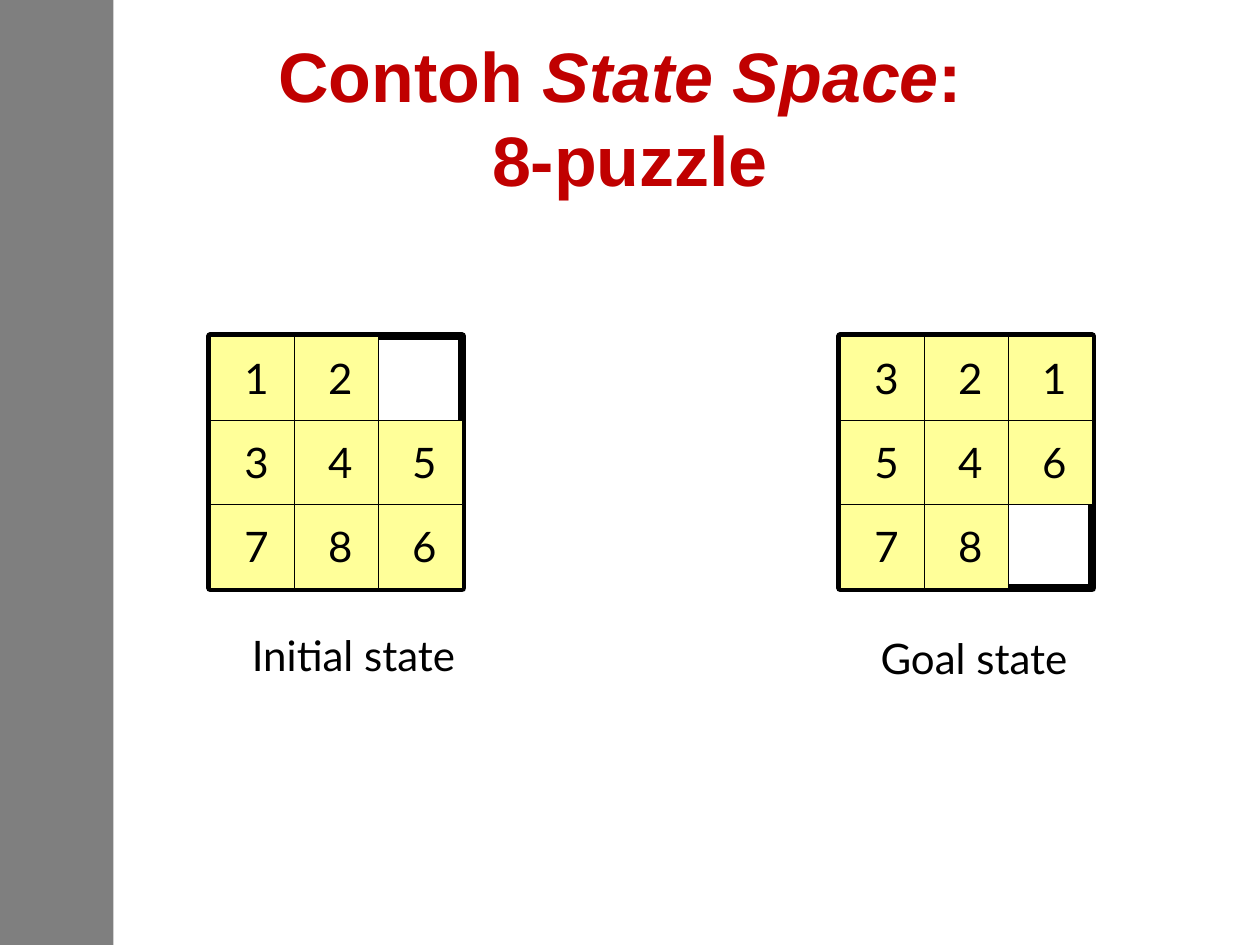
import pptx
import pptx.util
import pptx.dml.color
import pptx.enum.shapes
import pptx.enum.text
import lxml.etree

Inches = pptx.util.Inches
Pt = pptx.util.Pt
ALIGN = pptx.enum.text.PP_ALIGN
ANCHOR = pptx.enum.text.MSO_ANCHOR


def color(hex_code):
    return pptx.dml.color.RGBColor.from_string(hex_code)


def write(para, text, font="Lato", size=24, ink="000000", bold=False, italic=False):
    """Add one formatted span; a newline becomes a line break."""
    for index, line in enumerate(text.split("\n")):
        if index:
            para.add_line_break()
        span = para.add_run()
        span.text = line
        span.font.name = font
        span.font.size = Pt(size)
        span.font.bold = bold
        span.font.italic = italic
        span.font.color.rgb = color(ink)


class PuzzleSlide:
    RED, TILE, BLACK = "C00000", "FFFF99", "000000"
    BOARD = 2
    CELL = BOARD / 3

    def __init__(self, deck):
        self.page = deck.slides.add_slide(deck.slide_layouts[5])

    def title(self, spans, left, top, width, height):
        box = self.page.shapes.title
        box.left, box.top = Inches(left), Inches(top)
        box.width, box.height = Inches(width), Inches(height)
        box.text_frame.vertical_anchor = ANCHOR.MIDDLE
        para = box.text_frame.paragraphs[0]
        para.alignment = ALIGN.CENTER
        for text, italic in spans:
            write(para, text, font="Arial", size=40, ink=self.RED, bold=True, italic=italic)

    def rectangle(self, shapes, left, top, width, height, fill=None, line=None, alpha=None):
        shape = shapes.add_shape(pptx.enum.shapes.MSO_SHAPE.RECTANGLE, Inches(left),
                                 Inches(top), Inches(width), Inches(height))
        shape.shadow.inherit = False
        if fill:
            shape.fill.solid()
            shape.fill.fore_color.rgb = color(fill)
        else:
            shape.fill.background()
        if line:
            shape.line.color.rgb = color(self.BLACK)
            shape.line.width = Pt(line)
        else:
            shape.line.fill.background()
        if alpha:
            tint = shape.fill._xPr.find(".//" + pptx.oxml.ns.qn("a:srgbClr"))
            lxml.etree.SubElement(tint, pptx.oxml.ns.qn("a:alpha"), val=str(alpha * 1000))

    def label(self, shapes, text, left, top, width, height=0.5):
        box = shapes.add_textbox(Inches(left), Inches(top), Inches(width), Inches(height))
        box.text_frame.word_wrap = False
        box.text_frame.auto_size = pptx.enum.text.MSO_AUTO_SIZE.SHAPE_TO_FIT_TEXT
        write(box.text_frame.paragraphs[0], text)

    def board(self, rows, left, top):
        """Draw a framed grid of tiles; a space leaves its cell open."""
        shapes = self.page.shapes.add_group_shape().shapes
        self.rectangle(shapes, left, top, self.BOARD, self.BOARD, line=4.5)
        for row, digits in enumerate(rows):
            for column, digit in enumerate(digits):
                if digit == " ":
                    continue
                x, y = left + column * self.CELL, top + row * self.CELL
                self.rectangle(shapes, x, y, self.CELL, self.CELL, fill=self.TILE, line=0.75)
                self.label(shapes, digit, x + 0.17, y + 0.08, 0.38)


deck = pptx.Presentation()
deck.slide_width, deck.slide_height = Inches(10), Inches(7.5)
slide = PuzzleSlide(deck)
shapes = slide.page.shapes

# Side band and title
slide.rectangle(shapes, 0, 0, 0.9, 7.5, fill=slide.BLACK, alpha=50)
slide.title([("Contoh ", False), ("State Space", True), (": \n8-puzzle", False)],
            0.5, 0.3, 9, 1.25)

# Boards
slide.board(["12 ", "345", "786"], 1.67, 2.67)
slide.board(["321", "546", "78 "], 6.67, 2.67)

# Captions
slide.label(shapes, "Initial state", 1.9, 4.95, 1.85)
slide.label(shapes, "Goal state", 6.89, 4.97, 1.68)

deck.save("out.pptx")
